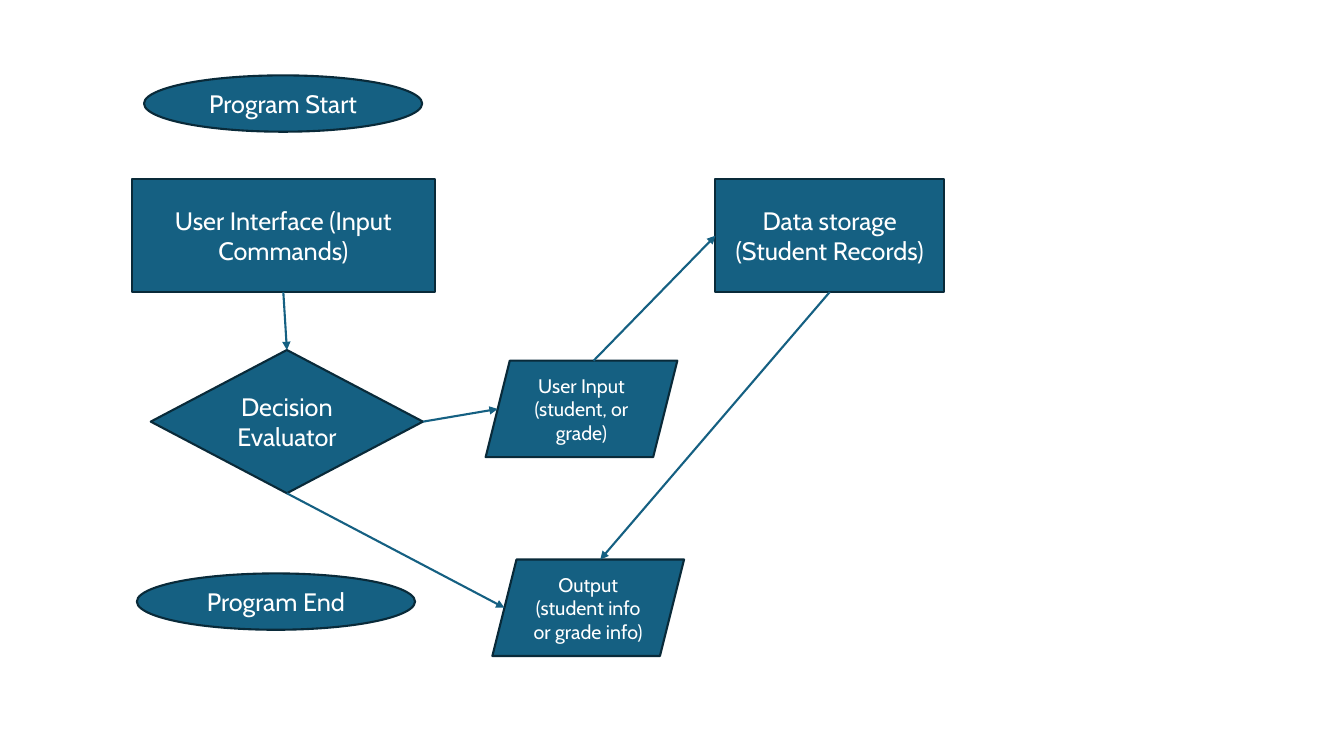
from lxml import etree
from pptx import Presentation
from pptx import util as u
from pptx.dml.color import RGBColor
from pptx.enum import shapes, text
from pptx.oxml.ns import qn

COLORS = {"fill": "156082", "outline": "092A39", "text": "FFFFFF"}
FONT = "Cabin"
LINE_WIDTH = u.Pt(1.5)
SLANT = 0.25  # parallelogram's slant as a share of its height
TOP, LEFT, BOTTOM, RIGHT = range(4)
KIND = shapes.MSO_SHAPE


def rgb(name):
    return RGBColor.from_string(COLORS[name])


def add_node(slide, kind, label, left, top, width, height, size=18):
    sp = slide.shapes.add_shape(kind, u.Cm(left), u.Cm(top), u.Cm(width), u.Cm(height))
    sp.shadow.inherit = False
    sp.fill.solid()
    sp.fill.fore_color.rgb = rgb("fill")
    sp.line.color.rgb = rgb("outline")
    sp.line.width = LINE_WIDTH
    tf = sp.text_frame
    tf.word_wrap = True
    tf.vertical_anchor = text.MSO_ANCHOR.MIDDLE
    tf.text = label
    p = tf.paragraphs[0]
    p.alignment = text.PP_ALIGN.CENTER
    r = p.runs[0]
    r.font.name = FONT
    r.font.size = u.Pt(size)
    r.font.color.rgb = rgb("text")
    return sp


def side_point(sp, side):
    """Return the middle of a node's side, allowing for a parallelogram's slant."""
    shift = 0
    if sp.auto_shape_type == KIND.PARALLELOGRAM:
        shift = int(sp.height * SLANT / 2)
    mid_x, mid_y = sp.left + sp.width // 2, sp.top + sp.height // 2
    return {
        TOP: (mid_x + shift, sp.top),
        LEFT: (sp.left + shift, mid_y),
        BOTTOM: (mid_x - shift, sp.top + sp.height),
        RIGHT: (sp.left + sp.width - shift, mid_y),
    }[side]


def add_arrow(slide, source, source_side, target, target_side):
    line = slide.shapes.add_connector(
        shapes.MSO_CONNECTOR.STRAIGHT,
        *side_point(source, source_side), *side_point(target, target_side))
    if source.auto_shape_type != KIND.PARALLELOGRAM:
        line.begin_connect(source, source_side)
    if target.auto_shape_type != KIND.PARALLELOGRAM:
        line.end_connect(target, target_side)
    line.line.color.rgb = rgb("fill")
    line.line.width = LINE_WIDTH
    etree.SubElement(line.line._get_or_add_ln(), qn("a:tailEnd"), type="triangle")
    etree.SubElement(line._element.spPr, qn("a:effectLst"))


def add_terminals(slide, left, top):
    width, height = 7.01, 1.42
    add_node(slide, KIND.OVAL, "Program Start", left + 0.18, top, width, height)
    add_node(slide, KIND.OVAL, "Program End", left, top + 12.55, width, height)


def add_control(slide, left, top):
    """Place the user interface above the decision and return the decision."""
    interface = add_node(slide, KIND.RECTANGLE, "User Interface (Input Commands)",
                         left, top, 7.64, 2.84)
    decision = add_node(slide, KIND.DIAMOND, "Decision Evaluator",
                        left + 0.48, top + 4.3, 6.86, 3.61)
    add_arrow(slide, interface, BOTTOM, decision, TOP)
    return decision


def add_data_flow(slide, left, top):
    """Place input, storage and output and return the input and output."""
    width, height = 4.83, 2.43
    storage = add_node(slide, KIND.RECTANGLE, "Data storage (Student Records)",
                       left + 5.79, top, 5.76, 2.84)
    user_input = add_node(slide, KIND.PARALLELOGRAM, "User Input (student, or grade)",
                          left, top + 4.57, width, height, 14)
    output = add_node(slide, KIND.PARALLELOGRAM, "Output (student info or grade info)",
                      left + 0.17, top + 9.58, width, height, 14)
    add_arrow(slide, user_input, TOP, storage, LEFT)
    add_arrow(slide, storage, BOTTOM, output, TOP)
    return user_input, output


def main():
    prs = Presentation()
    prs.slide_width, prs.slide_height = u.Cm(33.87), u.Cm(19.05)
    slide = prs.slides.add_slide(prs.slide_layouts[6])
    add_terminals(slide, 3.45, 1.9)
    decision = add_control(slide, 3.32, 4.52)
    user_input, output = add_data_flow(slide, 12.24, 4.52)
    add_arrow(slide, decision, RIGHT, user_input, LEFT)
    add_arrow(slide, decision, BOTTOM, output, LEFT)
    prs.save("out.pptx")


if __name__ == "__main__":
    main()
